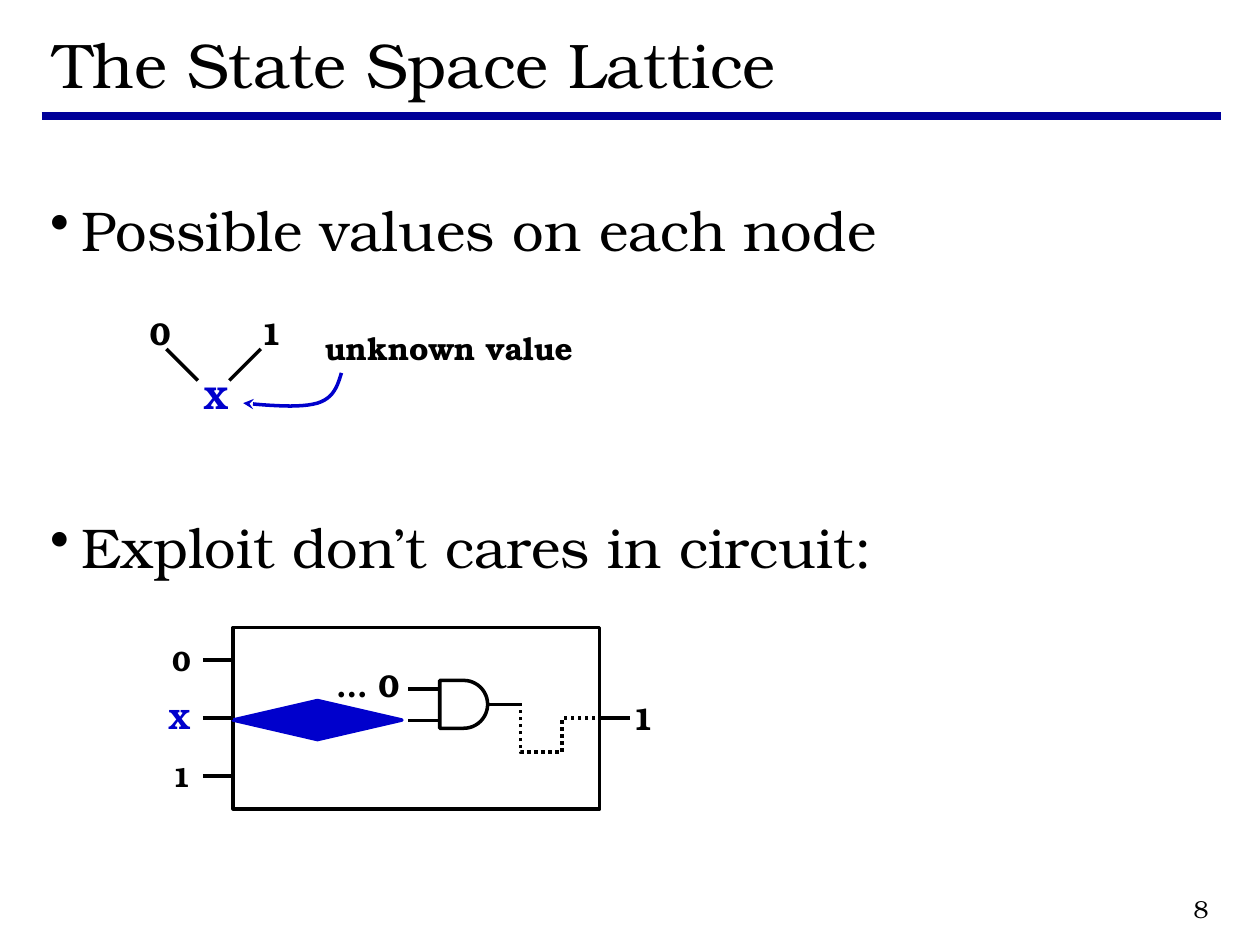
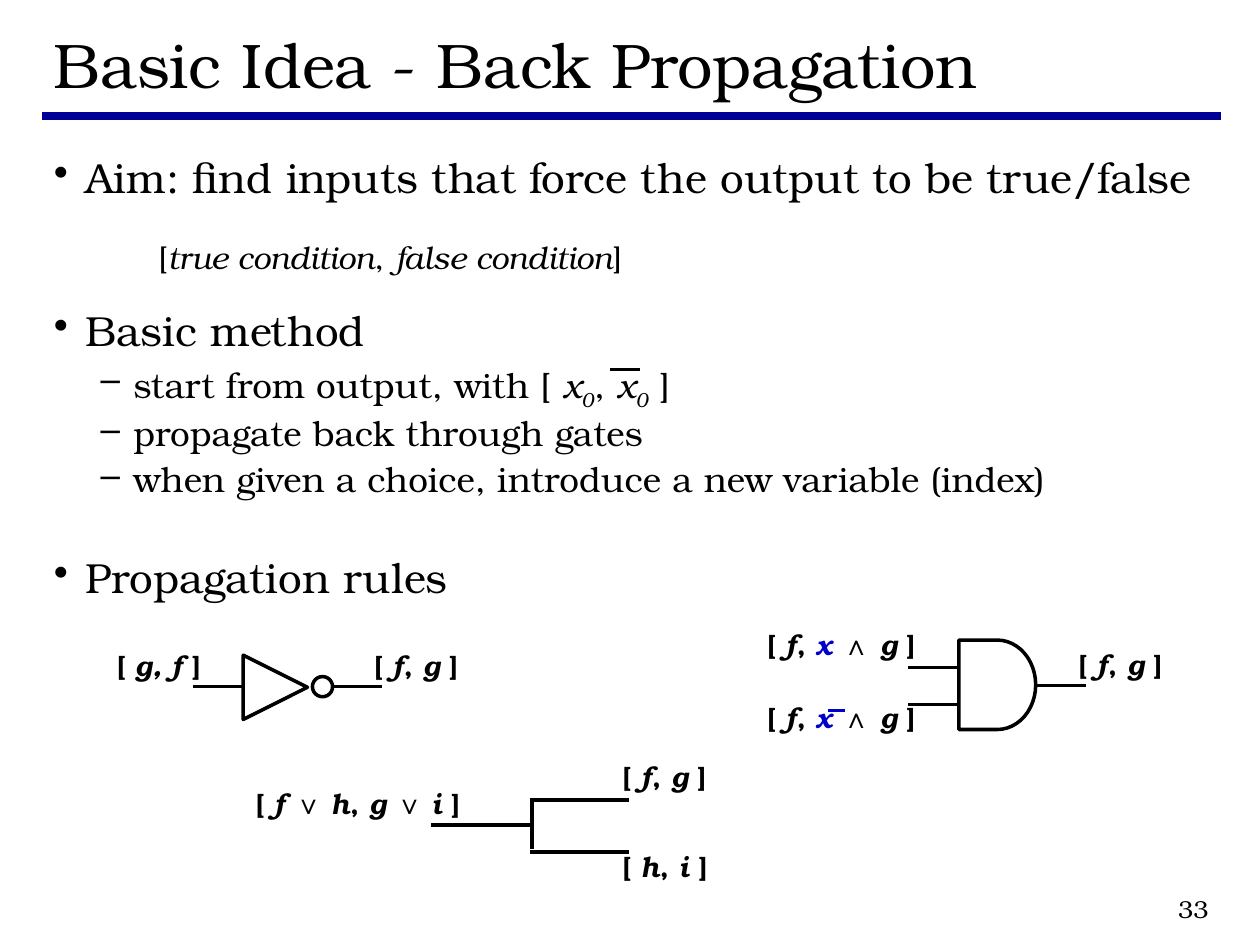
"""Build two slides on the state space lattice and on back propagation through gates."""
from dataclasses import dataclass

from lxml.etree import SubElement
from pptx import Presentation
from pptx.dml.color import RGBColor
from pptx.enum.dml import MSO_LINE
from pptx.enum.shapes import MSO_CONNECTOR, MSO_SHAPE
from pptx.enum.text import MSO_ANCHOR, PP_ALIGN
from pptx.oxml.ns import qn
from pptx.util import Emu, Inches, Pt


@dataclass(frozen=True)
class Theme:
    ink: str = "000000"
    accent: str = "0000CC"
    rule: str = "000099"
    font: str = "TeX Gyre Bonum"
    math_font: str = "Arial"
    title: int = 36
    lead: int = 32
    point: int = 24
    detail: int = 20
    label: int = 18
    small: int = 16
    number: int = 14


theme = Theme()
LEFT, CENTER, RIGHT = PP_ALIGN.LEFT, PP_ALIGN.CENTER, PP_ALIGN.RIGHT
MIDDLE = MSO_ANCHOR.MIDDLE

deck = Presentation()
deck.slide_width, deck.slide_height = Inches(10), Inches(7.5)
COL, ROW = deck.slide_width // 100, deck.slide_height // 75

# style name: level, size, margin and indent in columns, bullet
PARAGRAPHS = {
    "lead": (0, theme.lead, 2.5, -2.5, "•"),
    "point": (0, theme.point, 2.5, -2.5, "•"),
    "dash": (1, theme.detail, 6.3, -2.6, "–"),
    "formula": (2, theme.label, 8.3, 0, None),
}


def write(slide, box, *paragraphs, size=theme.label, color=theme.ink, bold=False,
          align=LEFT, anchor=MSO_ANCHOR.TOP, spacing=None):
    """Write paragraphs; run marks after | are * italic, _ subscript, ^ accent, @ math."""
    x, y, w, h = box
    frame = slide.shapes.add_textbox(
        Emu(int(x * COL)), Emu(int(y * ROW)), Emu(int(w * COL)), Emu(int(h * ROW))).text_frame
    frame.word_wrap = True
    frame.vertical_anchor = anchor
    for index, entry in enumerate(paragraphs):
        text, style, before = (entry, None, 0) if isinstance(entry, str) else entry
        paragraph = frame.add_paragraph() if index else frame.paragraphs[0]
        paragraph.alignment = align
        paragraph.space_before = Pt(before)
        paragraph.line_spacing = spacing
        run_size = size
        if style:
            paragraph.level, run_size, margin, indent, bullet = PARAGRAPHS[style]
            properties = paragraph._p.get_or_add_pPr()
            properties.set("marL", str(int(margin * COL)))
            properties.set("indent", str(int(indent * COL)))
            if bullet:
                SubElement(properties, qn("a:buChar"), char=bullet)
        for piece in text.split("|"):
            mark = piece[0] if piece[0] in "*_^@" else ""
            run = paragraph.add_run()
            run.text = piece[len(mark):]
            run.font.size = Pt(run_size)
            run.font.bold = bold
            run.font.italic = mark in ("*", "_", "^")
            run.font.name = theme.math_font if mark == "@" else theme.font
            run.font.color.rgb = RGBColor.from_string(theme.accent if mark == "^" else color)
            if mark == "_":
                run.font._element.set("baseline", "-25000")


def stroke(part, color=theme.ink, width=2):
    """Give a shape or connector a plain line without shadow."""
    part.line.color.rgb = RGBColor.from_string(color)
    part.line.width = Pt(width)
    SubElement(part._element.spPr, qn("a:effectLst"))


lattice, propagation = [deck.slides.add_slide(deck.slide_layouts[6]) for _ in range(2)]

for slide, title, number in [(lattice, "The State Space Lattice", "8"),
                             (propagation, "Basic Idea - Back Propagation", "33")]:
    write(slide, (3.3, 1.7, 93.6, 6.7), title, size=theme.title, anchor=MIDDLE)
    write(slide, (76.1, 70, 20.8, 4.2), number, size=theme.number, align=RIGHT, anchor=MIDDLE)

write(lattice, (3, 15, 94, 53.5),
      ("Possible values on each node", "lead", 0),
      ("Exploit don’t cares in circuit:", "lead", 143.2))
write(propagation, (3.3, 12, 94, 40.4),
      ("Aim: find inputs that force the output to be true/false", "point", 0),
      ("[|*true condition|, |*false condition|]", "formula", 22.5),
      ("Basic method", "point", 19.5),
      ("start from output, with [ |*x|_0|, |*x|_0| ]", "dash", 5),
      ("propagate back through gates", "dash", 5),
      ("when given a choice, introduce a new variable (index)", "dash", 5),
      ("Propagation rules", "point", 32.6), spacing=0.9)

for value, box, color in [("0", (10.6, 24.4, 4.2, 4), theme.ink),
                          ("1", (19.7, 24.4, 3.5, 4), theme.ink),
                          ("X", (14.7, 29.5, 4.9, 4), theme.accent)]:
    write(lattice, box, value, color=color, bold=True, align=CENTER, anchor=MIDDLE)

for text, box in [("unknown value", (24.8, 25.6, 32.3, 4)),
                  ("1", (49.2, 55, 3.6, 4)),
                  ("… 0", (25.7, 52.4, 8, 4))]:
    write(lattice, box, text, bold=True)

wires = [(slide, 3.3, 9.2, 96.9, 9.2, theme.rule, 5) for slide in (lattice, propagation)]
for row, (value, color) in enumerate([("0", theme.ink), ("X", theme.accent), ("1", theme.ink)]):
    level = 52.4 + 4.6 * row
    write(lattice, (10.6, level - 1.8, 5.5, 3.7), value, size=theme.small, color=color,
          bold=True, align=RIGHT)
    wires.append((lattice, 16.1, level, 18.5, level, theme.ink, 2))

for text, x, y, w, align in [
        ("[ |*g, f |]", 6.7, 51, 10.2, RIGHT),
        ("[ |*f|, |*g |]", 28.7, 51, 10.2, LEFT),
        ("[ |*f|, |*g |]", 84.6, 50.9, 10.2, LEFT),
        ("[ |*f|, |^x |@∧|* g |]", 59.4, 49.3, 14.2, RIGHT),
        ("[ |*f|, |^x |@∧|* g |]", 59.4, 55.1, 14.2, RIGHT),
        ("[ |*f|, |*g |]", 48.4, 59.8, 10.2, LEFT),
        ("[ |*h|, |*i |]", 48.4, 66.9, 10.2, LEFT),
        ("[ |*f |@∨ |*h|, |*g |@∨ |*i |]", 19.3, 61.9, 22, LEFT)]:
    write(propagation, (x, y, w, 3.7), text, size=theme.small, bold=True, align=align)

for slide, outline, (x, y, w, h), turn, fill in [
        (lattice, MSO_SHAPE.RECTANGLE, (18.5, 49.8, 29.1, 14.4), 0, None),
        (lattice, MSO_SHAPE.FLOWCHART_DELAY, (34.9, 54, 3.8, 3.8), 0, None),
        (lattice, MSO_SHAPE.DIAMOND, (18.5, 55.6, 13.4, 3.1), 0, theme.accent),
        (propagation, MSO_SHAPE.FLOWCHART_EXTRACT, (19.3, 52, 5.1, 5.1), 90, None),
        (propagation, MSO_SHAPE.OVAL, (24.8, 53.7, 1.6, 1.6), 0, None),
        (propagation, MSO_SHAPE.FLOWCHART_DELAY, (76.1, 50.8, 6.1, 7.1), 0, None)]:
    part = slide.shapes.add_shape(outline, int(x * COL), int(y * ROW), int(w * COL), int(h * ROW))
    part.rotation = turn
    if fill:
        part.fill.solid()
        part.fill.fore_color.rgb = RGBColor.from_string(fill)
    else:
        part.fill.background()
    stroke(part, fill or theme.ink)

wires += [
    (lattice, 13.2, 27.7, 15.7, 30.2, theme.ink, 2),
    (lattice, 20.7, 27.7, 18.2, 30.2, theme.ink, 2),
    (lattice, 47.6, 57, 50, 57, theme.ink, 2),
    (lattice, 32.4, 54.7, 34.9, 54.7, theme.ink, 2),
    (lattice, 32.4, 57.2, 34.9, 57.2, theme.ink, 2),
    (lattice, 38.8, 55.9, 41.3, 55.9, theme.ink, 2),
    (propagation, 15.3, 54.5, 19.3, 54.5, theme.ink, 2),
    (propagation, 26.4, 54.5, 30.3, 54.5, theme.ink, 2),
    (propagation, 82.3, 54.4, 86.2, 54.4, theme.ink, 1.5),
    (propagation, 72.1, 53, 76, 53, theme.ink, 1.5),
    (propagation, 72.1, 55.9, 76, 55.9, theme.ink, 1.5),
    (propagation, 65.7, 56.4, 67.1, 56.4, theme.accent, 1.75),
    (propagation, 48.4, 29.3, 50.8, 29.3, theme.ink, 1.75),
    (propagation, 42.1, 63.5, 49.9, 63.5, theme.ink, 2.25),
    (propagation, 34.2, 65.5, 42.1, 65.5, theme.ink, 2.25),
    (propagation, 42.1, 67.6, 49.9, 67.6, theme.ink, 2.25),
    (propagation, 42.2, 67.4, 42.2, 63.5, theme.ink, 2.25),
]
for slide, x1, y1, x2, y2, color, width in wires:
    wire = slide.shapes.add_connector(MSO_CONNECTOR.STRAIGHT, int(x1 * COL), int(y1 * ROW),
                                      int(x2 * COL), int(y2 * ROW))
    stroke(wire, color, width)

STEPS = 12
pointer = [(27.1, 29.6)]
for bend in [((27.1, 29.6), (26.8, 30.6), (26.5, 31.6), (25.2, 32)),
             ((25.2, 32), (23.8, 32.4), (21.5, 32.2), (19.3, 32))]:
    for step in range(1, STEPS + 1):
        t = step / STEPS
        weights = ((1 - t) ** 3, 3 * t * (1 - t) ** 2, 3 * t ** 2 * (1 - t), t ** 3)
        pointer.append(tuple(sum(k * knot[axis] for k, knot in zip(weights, bend))
                             for axis in (0, 1)))
feedback = [(47.8, 57), (44.6, 57), (44.6, 59.7), (41.3, 59.7), (41.3, 55.8)]

for points, color, dash, arrow in [(pointer, theme.accent, None, "stealth"),
                                   (feedback, theme.ink, MSO_LINE.ROUND_DOT, None)]:
    start, *rest = [(int(x * COL), int(y * ROW)) for x, y in points]
    trail = lattice.shapes.build_freeform(*start).add_line_segments(rest, close=False)
    trail = trail.convert_to_shape()
    trail.fill.background()
    stroke(trail, color)
    trail.line.dash_style = dash
    if arrow:
        SubElement(trail.line._get_or_add_ln(), qn("a:tailEnd"), type=arrow)

deck.save("out.pptx")
